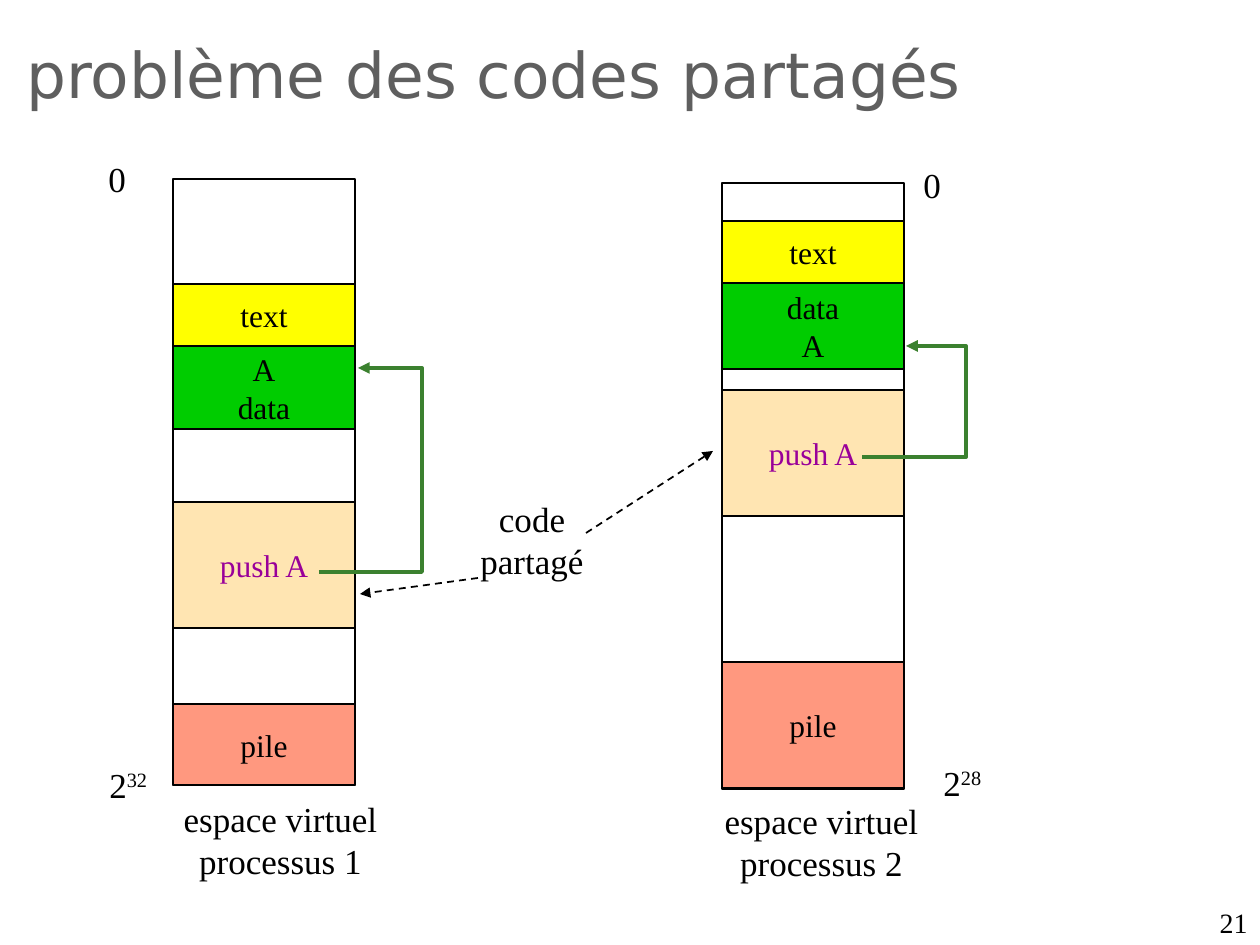
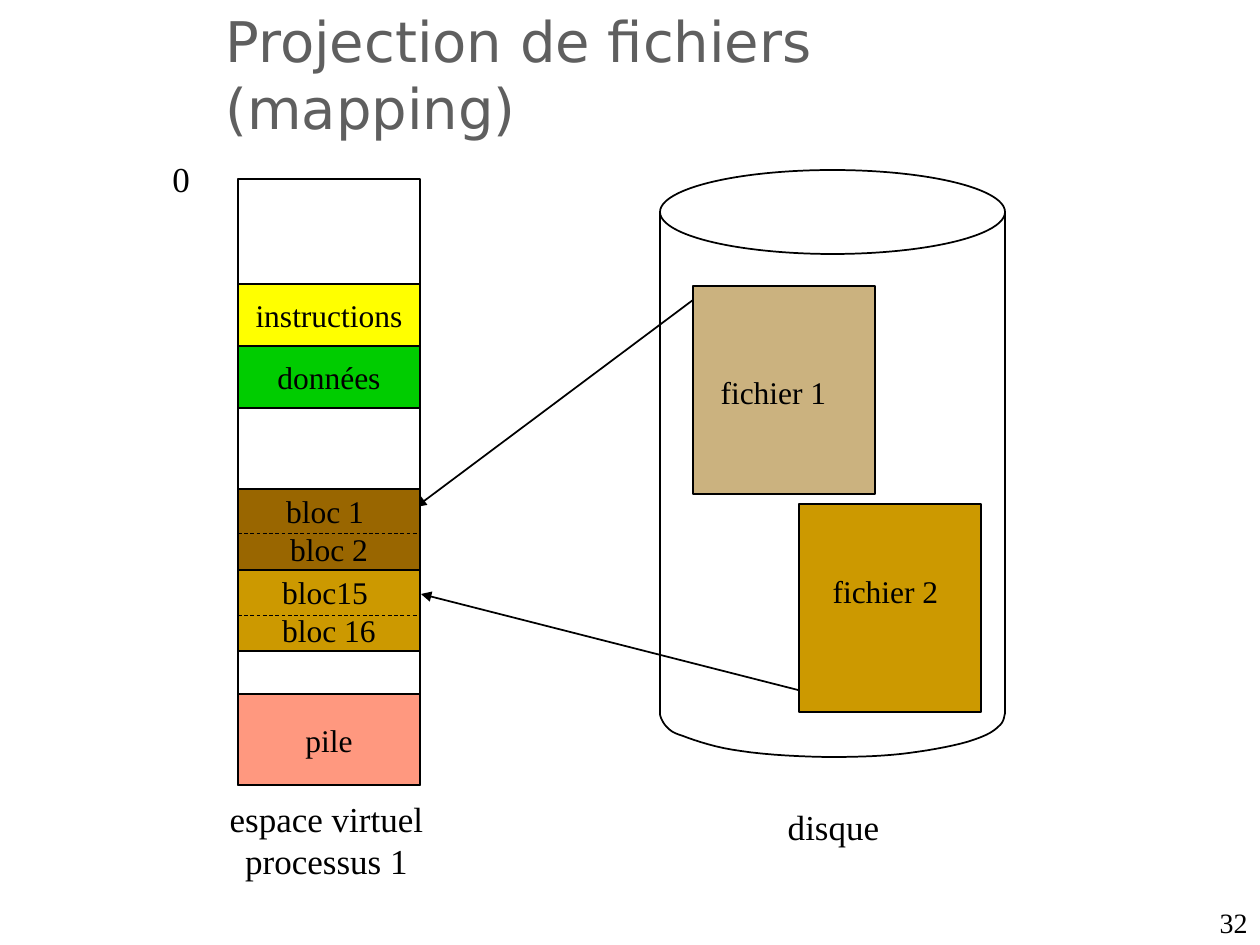
from dataclasses import dataclass
from pptx import Presentation
from pptx.dml.color import RGBColor as Rgb
from pptx.enum.dml import MSO_LINE as Dash
from pptx.enum.shapes import MSO_CONNECTOR as Link, MSO_SHAPE as Kind
from pptx.enum.text import MSO_ANCHOR as Anchor, PP_ALIGN as Align
from pptx.oxml.ns import qn
from pptx.oxml.xmlchemy import OxmlElement as Node
from pptx.util import Pt

PX = 914400 / 126


@dataclass(frozen=True)
class Theme:
    head: str = "DejaVu Sans"
    body: str = "Times New Roman"
    gray: str = "5F5F5F"
    ink: str = "000000"
    code: str = "990099"
    path_ink: str = "3B812F"
    band: int = 18
    label: int = 20
    page: int = 16


T = Theme()
FILLS = {
    "text": ("FFFF00", 100),
    "data": ("00CC00", 100),
    "code": ("FFCC66", 50),
    "stack": ("FF3300", 50),
    "file1": ("996600", 50),
    "bloc1": ("996600", 100),
    "file2": ("CC9900", 100),
}
WIDE, TALL = 182, 606
FILE_TALL = 208

SHARED = {
    "title": ("problème des codes partagés", 14, 29, 969, 113, 36),
    "page": "21",
    "spaces": [
        (173, 179, [
            ("text", 284, 62, "text"),
            ("code", 502, 126, "push A"),
            ("data", 346, 83, "A\ndata"),
            ("stack", 704, 81, "pile"),
        ]),
        (722, 183, [
            ("text", 221, 62, "text"),
            ("data", 283, 86, "data\nA"),
            ("stack", 662, 126, "pile"),
            ("code", 390, 126, "push A"),
        ]),
    ],
    "labels": [
        ("espace virtuel processus 2", 669, 793, 305, 97, Align.CENTER),
        ("espace virtuel processus 1", 115, 791, 331, 97, Align.CENTER),
        ("code partagé", 433, 491, 198, 97, Align.CENTER),
        ("0", 96, 151, 64, 55, Align.LEFT),
        ("2^32", 97, 757, 101, 55, Align.LEFT),
        ("0", 911, 157, 64, 55, Align.LEFT),
        ("2^28", 931, 755, 101, 55, Align.LEFT),
    ],
    "paths": [
        [(862, 457), (966, 457), (966, 346), (906, 346)],
        [(319, 572), (422, 572), (422, 368), (358, 368)],
    ],
    "arrows": [(586, 533, 713, 451), (478, 578, 360, 594)],
}
MAPPED = {
    "title": ("Projection de fichiers \v(mapping)", 213, 0, 737, 131, 32),
    "page": "32",
    "space": (238, 179, [
        ("text", 284, 62, "instructions"),
        ("stack", 694, 91, "pile"),
        ("data", 346, 62, "données"),
        ("bloc1", 489, 81, "bloc 1 \nbloc 2"),
        ("file2", 570, 81, "bloc15 \nbloc 16"),
    ]),
    "labels": [
        ("disque", 668, 799, 331, 55, Align.CENTER),
        ("espace virtuel processus 1", 189, 791, 275, 97, Align.CENTER),
        ("0", 160, 151, 64, 55, Align.LEFT),
    ],
    "files": [
        ("file2", 799, 504, "fichier 2", 810, 566),
        ("file1", 693, 286, "fichier 1", 698, 367),
    ],
    "arrows": [(693, 300, 416, 507), (798, 690, 421, 594)],
    "splits": [533, 615],
    "disk": (660, 170, 345, 84, 714),
    "base": [
        (660, 714), (660, 716), (662, 721), (665, 725),
        (669, 729), (670, 732), (683, 736),
        (696, 741), (717, 748), (741, 751),
        (766, 755), (805, 757), (833, 757),
        (861, 757), (886, 756), (909, 753),
        (932, 750), (959, 745), (973, 740),
        (988, 735), (994, 731), (999, 726),
        (1004, 722), (1004, 717), (1005, 713),
    ],
}


def emu(*nums):
    return [round(n * PX) for n in nums]


def write(shape, text, size=T.label, font=T.body, color=T.ink,
          align=Align.LEFT, anchor=Anchor.TOP, wrap=True):
    frame = shape.text_frame
    frame.word_wrap = wrap
    frame.vertical_anchor = anchor
    for i, line in enumerate(text.split("\n")):
        para = frame.paragraphs[0] if i == 0 else frame.add_paragraph()
        para.alignment = align
        base, _, power = line.partition("^")
        para.text = base
        if power:
            run = para.add_run()
            run.text = power
            run._r.get_or_add_rPr().set("baseline", "30000")
        for run in para.runs:
            run.font.size = Pt(size)
            run.font.name = font
            run.font.color.rgb = Rgb.from_string(color)


def label(slide, text, x, y, w, h, **form):
    write(slide.shapes.add_textbox(*emu(x, y, w, h)), text, **form)


def stroke(item, color=T.ink, width=1, dash=False, arrow=False):
    line = item.line
    line.color.rgb = Rgb.from_string(color)
    line.width = Pt(width)
    if dash:
        line.dash_style = Dash.DASH
    if arrow:
        tip = Node("a:tailEnd")
        tip.set("type", "triangle")
        line._get_or_add_ln().append(tip)


def box(slide, x, y, w, h, fill=None, kind=Kind.RECTANGLE):
    shape = slide.shapes.add_shape(kind, *emu(x, y, w, h))
    shape.shadow.inherit = False
    if fill:
        color, alpha = FILLS[fill]
        shape.fill.solid()
        shape.fill.fore_color.rgb = Rgb.from_string(color)
        if alpha < 100:
            node = Node("a:alpha")
            node.set("val", str(alpha * 1000))
            shape._element.spPr.find(qn("a:solidFill"))[0].append(node)
    else:
        shape.fill.background()
    stroke(shape)
    return shape


def line(slide, *ends, **look):
    link = slide.shapes.add_connector(Link.STRAIGHT, *emu(*ends))
    stroke(link, **look)
    link._element.spPr.append(Node("a:effectLst"))


def trace(slide, points, **look):
    first, *rest = [emu(*p) for p in points]
    maker = slide.shapes.build_freeform(*first, scale=1.0)
    maker.add_line_segments(rest, close=False)
    shape = maker.convert_to_shape()
    shape.shadow.inherit = False
    shape.fill.background()
    stroke(shape, **look)


def curve(knots, steps=8):
    points = [knots[0]]
    for k in range(0, len(knots) - 1, 3):
        for s in range(1, steps + 1):
            t = s / steps
            parts = ((1 - t) ** 3, 3 * t * (1 - t) ** 2, 3 * t * t * (1 - t), t ** 3)
            points.append([sum(a * p[i] for a, p in zip(parts, knots[k:k + 4]))
                           for i in (0, 1)])
    return points


def space(slide, x, y, bands):
    box(slide, x, y, WIDE, TALL)
    for fill, top, high, text in bands:
        write(box(slide, x, top, WIDE, high, fill), text, size=T.band,
              color=T.code if fill == "code" else T.ink,
              align=Align.CENTER, anchor=Anchor.MIDDLE, wrap=False)


def start(deck, data):
    slide = deck.slides.add_slide(deck.slide_layouts[6])
    *place, size = data["title"]
    label(slide, *place, size=size, font=T.head, color=T.gray)
    for *place, align in data["labels"]:
        label(slide, *place, align=align)
    label(slide, data["page"], 966, 900, 294, 45, size=T.page,
          align=Align.RIGHT, anchor=Anchor.BOTTOM)
    return slide


def shared(deck):
    slide = start(deck, SHARED)
    for part in SHARED["spaces"]:
        space(slide, *part)
    for points in SHARED["paths"]:
        trace(slide, points, color=T.path_ink, width=2.25, arrow=True)
    for ends in SHARED["arrows"]:
        line(slide, *ends, dash=True, arrow=True)


def mapped(deck):
    slide = start(deck, MAPPED)
    x, y, w, h, low = MAPPED["disk"]
    box(slide, x, y, w, h, kind=Kind.OVAL)
    trace(slide, curve(MAPPED["base"]))
    for side in (x, x + w):
        line(slide, side, low, side, y + h / 2)
    for fill, left, top, text, tx, ty in MAPPED["files"]:
        box(slide, left, top, WIDE, FILE_TALL, fill)
        label(slide, text, tx, ty, 151, 50, size=T.band, align=Align.CENTER)
    for ends in MAPPED["arrows"]:
        line(slide, *ends, arrow=True)
    left, top, bands = MAPPED["space"]
    space(slide, left, top, bands)
    for y in MAPPED["splits"]:
        line(slide, left, y, left + WIDE, y, width=0.5, dash=True)


def main():
    deck = Presentation()
    deck.slide_width, deck.slide_height = emu(1260, 945)
    shared(deck)
    mapped(deck)
    deck.save("out.pptx")


if __name__ == "__main__":
    main()
